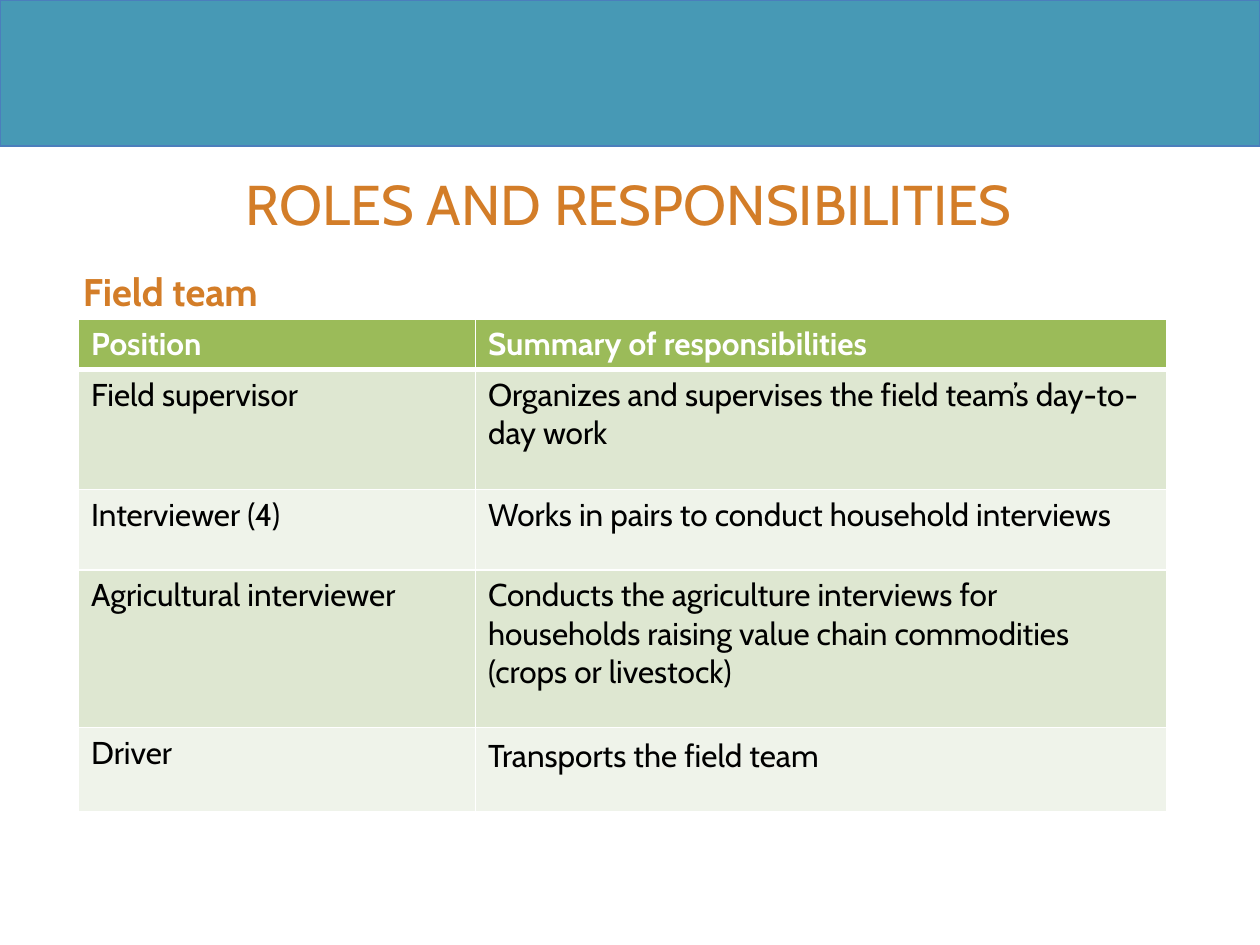
from pptx import Presentation
from pptx.dml.color import RGBColor
from pptx.enum.shapes import MSO_SHAPE
from pptx.enum.text import MSO_ANCHOR, PP_ALIGN
from pptx.oxml import parse_xml
from pptx.oxml.ns import nsdecls
from pptx.util import Pt

TITLE = "ROLES AND RESPONSIBILITIES"
TEAM = "Field team"
ROLES = [
    ("Position", "Summary of responsibilities"),
    ("Field supervisor", "Organizes and supervises the field team’s day-to-day work"),
    ("Interviewer (4)", "Works in pairs to conduct household interviews"),
    ("Agricultural interviewer",
     "Conducts the agriculture interviews for households raising value chain "
     "commodities (crops or livestock)"),
    ("Driver", "Transports the field team"),
]
WIDTHS = (226.8, 395.3)
HEIGHTS = (29, 68.5, 46, 90, 48)


class Theme:
    font = "Cabin"
    title, head, body = 32, 22, 18
    band, edge, accent = "4799B5", "4B7EBC", "D37D28"
    white, black = "FFFFFF", "000000"
    top, odd, even = "9BBB59", "DEE7D1", "EFF3EA"


def paint(fill, color):
    fill.solid()
    fill.fore_color.rgb = RGBColor.from_string(color)


def style(para, size, color, bold=False):
    font = para.font
    font.name, font.size, font.bold = Theme.font, Pt(size), bold
    font.color.rgb = RGBColor.from_string(color)


def border(cell, base):
    props = cell._tc.get_or_add_tcPr()
    for side, width in (("L", 1), ("R", 1), ("T", 1), ("B", base)):
        props.append(parse_xml(
            f'<a:ln{side} {nsdecls("a")} w="{Pt(width)}"><a:solidFill>'
            f'<a:srgbClr val="{Theme.white}"/></a:solidFill></a:ln{side}>'))


def add_band(slide, width):
    band = slide.shapes.add_shape(MSO_SHAPE.RECTANGLE, 0, 0, width, Pt(83.5))
    band.shadow.inherit = False
    paint(band.fill, Theme.band)
    paint(band.line.fill, Theme.edge)
    band.line.width = Pt(0.75)


def add_title(slide):
    title = slide.shapes.title
    title.left, title.top, title.width, title.height = map(Pt, (35.3, 90.7, 648, 46.8))
    frame = title.text_frame
    frame.text = TITLE
    frame.margin_bottom = 0
    frame.vertical_anchor = MSO_ANCHOR.MIDDLE
    para = frame.paragraphs[0]
    para.alignment = PP_ALIGN.CENTER
    style(para, Theme.title, Theme.accent)


def add_team(slide):
    box = slide.shapes.add_textbox(*map(Pt, (40.3, 149.8, 642.2, 35.3)))
    frame = box.text_frame
    frame.word_wrap = True
    frame.text = TEAM
    style(frame.paragraphs[0], Theme.head, Theme.accent, True)


def add_roles(slide):
    spot = map(Pt, (44.9, 182.3, sum(WIDTHS), sum(HEIGHTS)))
    table = slide.shapes.add_table(len(ROLES), len(WIDTHS), *spot).table
    for col, width in zip(table.columns, WIDTHS):
        col.width = Pt(width)
    for row, height in zip(table.rows, HEIGHTS):
        row.height = Pt(height)
    for i, texts in enumerate(ROLES):
        head = i == 0
        shade = Theme.top if head else Theme.odd if i % 2 else Theme.even
        for j, text in enumerate(texts):
            cell = table.cell(i, j)
            cell.text = text
            border(cell, 3 if head or i == 1 and False else 1)
            if i == 1:
                cell._tc.tcPr.find("{*}lnT").set("w", str(Pt(3)))
            paint(cell.fill, shade)
            style(cell.text_frame.paragraphs[0], Theme.body,
                  Theme.white if head else Theme.black, head)
    last = table.cell(len(ROLES) - 1, 1).text_frame.paragraphs[0]
    last.line_spacing = Pt(24)


def main():
    deck = Presentation()
    deck.slide_width, deck.slide_height = Pt(720), Pt(540)
    slide = deck.slides.add_slide(deck.slide_layouts[5])
    add_band(slide, deck.slide_width)
    add_title(slide)
    add_team(slide)
    add_roles(slide)
    deck.save("out.pptx")


if __name__ == "__main__":
    main()
